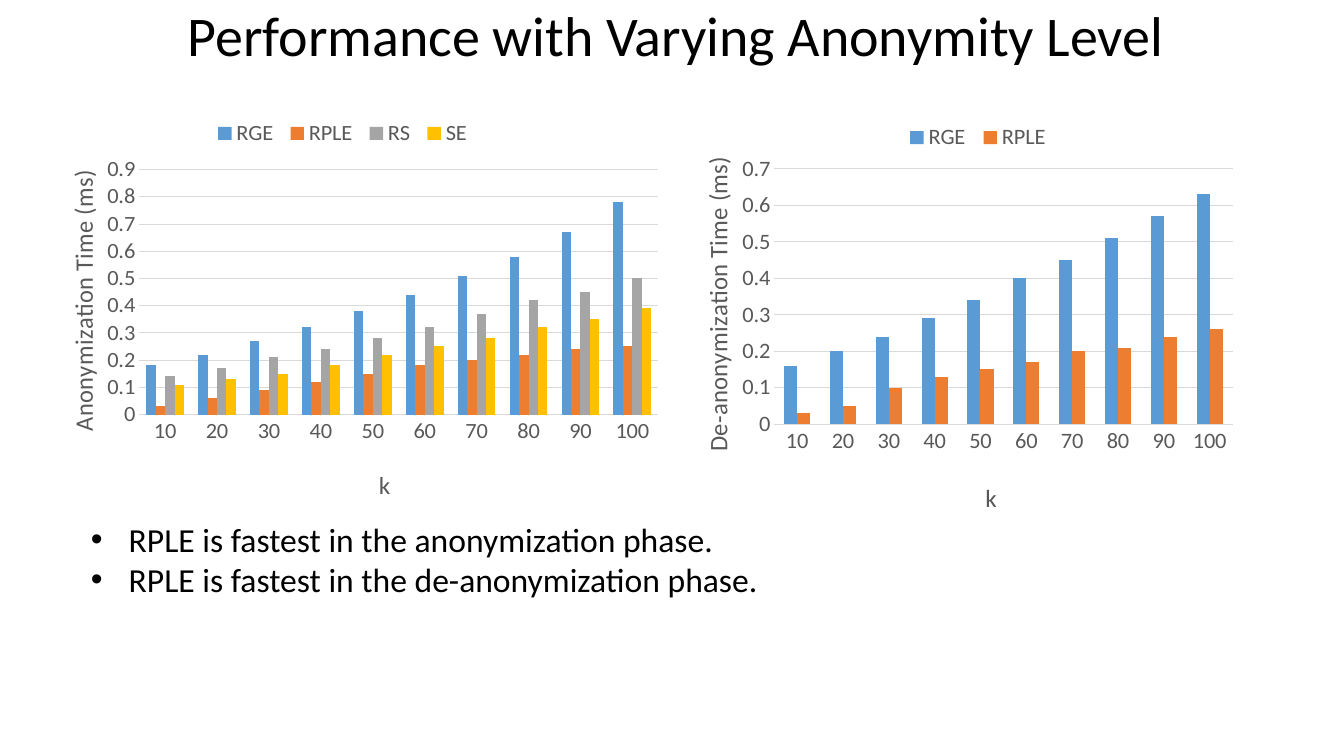
from dataclasses import dataclass

from lxml.etree import SubElement
from pptx import Presentation
from pptx.chart.data import CategoryChartData
from pptx.dml.color import RGBColor
from pptx.enum.chart import XL_CHART_TYPE, XL_LEGEND_POSITION, XL_TICK_MARK
from pptx.enum.text import MSO_ANCHOR, MSO_AUTO_SIZE, PP_ALIGN
from pptx.oxml import parse_xml
from pptx.oxml.ns import nsdecls, qn
from pptx.util import Emu, Pt

PX = 9525
FONT = "Calibri"
COLORS = {
    "RGE": "5B9BD5",
    "RPLE": "ED7D31",
    "RS": "A5A5A5",
    "SE": "FFC000",
    "text": "000000",
    "label": "595959",
    "grid": "D9D9D9",
}
CATEGORIES = [str(k) for k in range(10, 101, 10)]
FINDINGS = [
    "RPLE is fastest in the anonymization phase.",
    "RPLE is fastest in the de-anonymization phase.",
]


@dataclass(frozen=True)
class TimeChart:
    """A column chart of running times; its inner boxes are fractions of the chart."""

    box: tuple[int, int, int, int]
    value_title: str
    maximum: float
    legend_position: XL_LEGEND_POSITION
    plot_box: tuple[float, ...]
    legend_box: tuple[float, ...]
    value_title_at: tuple[float, ...]
    category_title_at: tuple[float, ...]
    series: dict[str, list[float]]


TIME_CHARTS = [
    TimeChart(
        box=(40, 93, 609, 391),
        value_title="Anonymization Time (ms)",
        maximum=0.9,
        legend_position=XL_LEGEND_POSITION.TOP,
        plot_box=(0.152, 0.181, 0.812, 0.615),
        legend_box=(0.26, 0.05, 0.42, 0.08),
        value_title_at=(0.03, 0.19),
        category_title_at=(0.52, 0.92),
        series={
            "RGE": [0.18, 0.22, 0.27, 0.32, 0.38, 0.44, 0.51, 0.58, 0.67, 0.78],
            "RPLE": [0.03, 0.06, 0.09, 0.12, 0.15, 0.18, 0.2, 0.22, 0.24, 0.25],
            "RS": [0.14, 0.17, 0.21, 0.24, 0.28, 0.32, 0.37, 0.42, 0.45, 0.5],
            "SE": [0.11, 0.13, 0.15, 0.18, 0.22, 0.25, 0.28, 0.32, 0.35, 0.39],
        },
    ),
    TimeChart(
        box=(646, 100, 554, 396),
        value_title="De-anonymization Time (ms)",
        maximum=0.7,
        legend_position=XL_LEGEND_POSITION.BOTTOM,
        plot_box=(0.165, 0.157, 0.788, 0.626),
        legend_box=(0.38, 0.04, 0.27, 0.08),
        value_title_at=(0.03, 0.13),
        category_title_at=(0.52, 0.91),
        series={
            "RGE": [0.16, 0.2, 0.24, 0.29, 0.34, 0.4, 0.45, 0.51, 0.57, 0.63],
            "RPLE": [0.03, 0.05, 0.1, 0.13, 0.15, 0.17, 0.2, 0.21, 0.24, 0.26],
        },
    ),
]


def set_font(font, size: int, color: str) -> None:
    """Apply the slide's typeface with a size and colour."""
    font.name = FONT
    font.size = Pt(size)
    font.bold = False
    font.color.rgb = RGBColor.from_string(COLORS[color])


def place(shape, box: tuple[int, int, int, int]) -> None:
    """Move and size a shape in px."""
    shape.left, shape.top, shape.width, shape.height = (Emu(n * PX) for n in box)


def set_layout(element, index: int, box: tuple[float, ...], inner: bool = False) -> None:
    """Give a chart part a manual position and, with four numbers, a size."""
    for previous in element.findall(qn("c:layout")):
        element.remove(previous)
    layout = parse_xml(f"<c:layout {nsdecls('c')}><c:manualLayout/></c:layout>")
    manual = layout[0]
    settings = [("layoutTarget", "inner")] if inner else []
    settings += [("xMode", "edge"), ("yMode", "edge")]
    settings += list(zip("xywh", box))
    for name, value in settings:
        SubElement(manual, qn(f"c:{name}")).set("val", str(value))
    element.insert(index, layout)


def style_axis(axis, title: str, position: tuple[float, ...], rotation: int) -> None:
    """Set the title, labels and tick marks of an axis."""
    axis.major_tick_mark = axis.minor_tick_mark = XL_TICK_MARK.NONE
    set_font(axis.tick_labels.font, 16, "label")
    frame = axis.axis_title.text_frame
    frame.text = title
    set_font(frame.paragraphs[0].font, 18, "label")
    element = axis.axis_title._element
    element.find(f".//{qn('a:bodyPr')}").set("rot", str(rotation))
    set_layout(element, 1, position)


def style_line(line) -> None:
    """Draw a thin grey chart line."""
    line.color.rgb = RGBColor.from_string(COLORS["grid"])
    line.width = Pt(0.75)


def add_time_chart(slide, item: TimeChart) -> None:
    """Add one clustered column chart."""
    data = CategoryChartData()
    data.categories = CATEGORIES
    for name, values in item.series.items():
        data.add_series(name, values)
    left, top, width, height = (Emu(n * PX) for n in item.box)
    chart = slide.shapes.add_chart(
        XL_CHART_TYPE.COLUMN_CLUSTERED, left, top, width, height, data
    ).chart
    set_font(chart.font, 10, "text")
    chart.has_title = False
    set_layout(chart._chartSpace.chart.plotArea, 0, item.plot_box, inner=True)

    plot = chart.plots[0]
    plot.gap_width = 150
    plot.overlap = 0
    plot.vary_by_categories = False
    for series in plot.series:
        series.format.fill.solid()
        series.format.fill.fore_color.rgb = RGBColor.from_string(COLORS[series.name])

    style_axis(chart.category_axis, "k", item.category_title_at, 0)
    style_line(chart.category_axis.format.line)
    value_axis = chart.value_axis
    style_axis(value_axis, item.value_title, item.value_title_at, -5400000)
    value_axis.minimum_scale = 0
    value_axis.maximum_scale = item.maximum
    value_axis.major_unit = 0.1
    value_axis.format.line.fill.background()
    style_line(value_axis.major_gridlines.format.line)

    chart.has_legend = True
    chart.legend.position = item.legend_position
    chart.legend.include_in_layout = False
    set_font(chart.legend.font, 16, "label")
    set_layout(chart.legend._element, 1, item.legend_box)


def fill_title(title) -> None:
    """Write the slide title."""
    place(title, (152, 9, 983, 61))
    frame = title.text_frame
    frame.text = "Performance with Varying Anonymity Level"
    frame.vertical_anchor = MSO_ANCHOR.BOTTOM
    frame.auto_size = MSO_AUTO_SIZE.NONE
    paragraph = frame.paragraphs[0]
    paragraph.alignment = PP_ALIGN.CENTER
    paragraph.line_spacing = 0.9
    set_font(paragraph.font, 40, "text")


def fill_findings(body) -> None:
    """Write the bulleted findings."""
    place(body, (77, 489, 1179, 87))
    frame = body.text_frame
    frame.text = "\n".join(FINDINGS)
    frame.auto_size = MSO_AUTO_SIZE.SHAPE_TO_FIT_TEXT
    for paragraph in frame.paragraphs:
        properties = paragraph._p.get_or_add_pPr()
        properties.set("marL", str(36 * PX))
        properties.set("indent", str(-36 * PX))
        SubElement(properties, qn("a:buFont")).set("typeface", "Arial")
        SubElement(properties, qn("a:buChar")).set("char", "•")
        paragraph.space_before = Pt(0)
        set_font(paragraph.font, 24, "text")


def main() -> None:
    """Build and save the slide."""
    presentation = Presentation()
    presentation.slide_width, presentation.slide_height = Emu(1280 * PX), Emu(720 * PX)
    slide = presentation.slides.add_slide(presentation.slide_layouts[1])
    for item in TIME_CHARTS:
        add_time_chart(slide, item)
    fill_title(slide.shapes.title)
    fill_findings(slide.placeholders[1])
    presentation.save("out.pptx")


if __name__ == "__main__":
    main()
